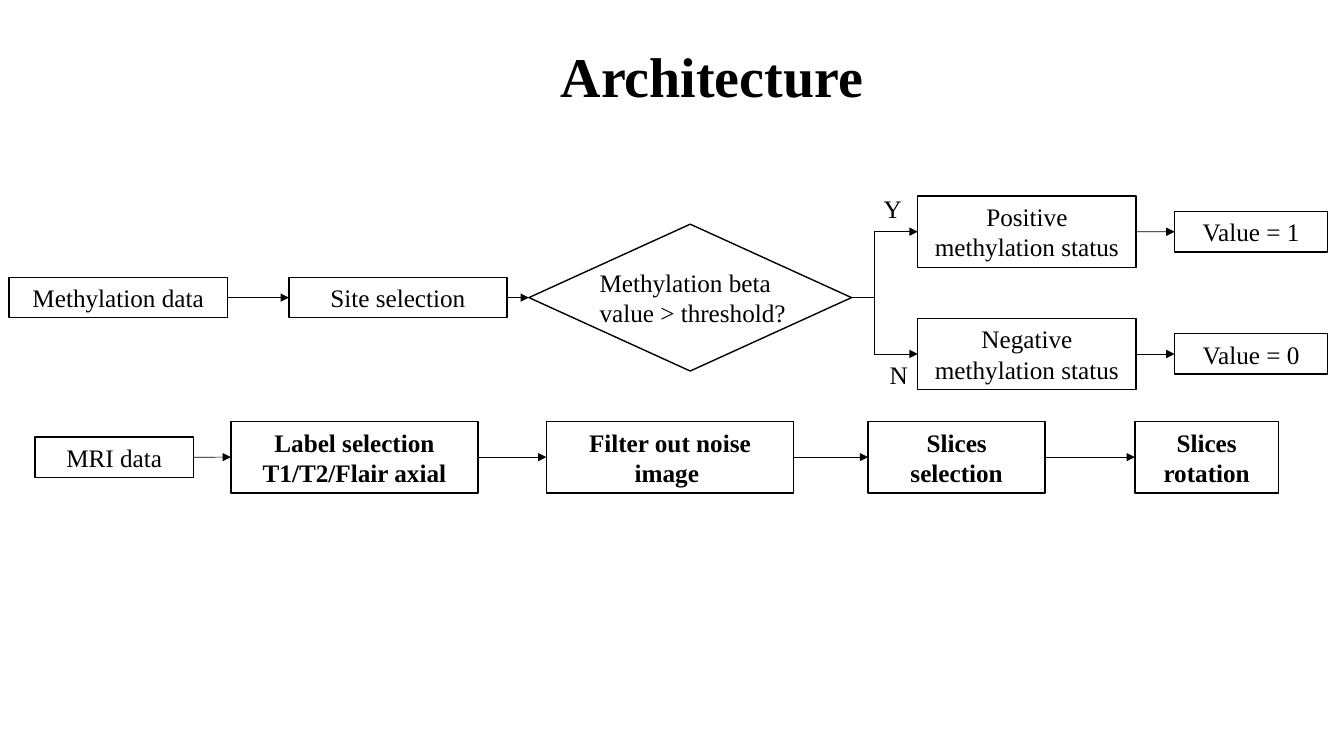
"""Build the Architecture slide: methylation labelling and MRI preparation flows."""
from dataclasses import dataclass

from lxml.etree import SubElement
from pptx import Presentation
from pptx.dml.color import RGBColor
from pptx.enum.shapes import MSO_CONNECTOR as Connector, MSO_SHAPE as Shape
from pptx.enum.text import MSO_ANCHOR as Anchor, PP_ALIGN as Align
from pptx.oxml.ns import qn
from pptx.util import Cm, Pt


@dataclass(frozen=True)
class Theme:
    font: str = "Times New Roman"
    ink: RGBColor = RGBColor(0, 0, 0)
    paper: RGBColor = RGBColor(255, 255, 255)
    title_size: Pt = Pt(40)
    body_size: Pt = Pt(18)
    border: Pt = Pt(1)
    arrow: Pt = Pt(0.5)


theme = Theme()
LEFT_SIDE, RIGHT_SIDE = 1, 3
ONE_LINE, TWO_LINES = 1.02, 1.8
MAIN, POSITIVE, NEGATIVE, MRI = 7.5, 5.84, 8.92, 11.52


def write(shape, text, align, size=theme.body_size, bold=False):
    """Fill a shape with text in the theme font."""
    frame = shape.text_frame
    frame.word_wrap = True
    frame.text = text
    for paragraph in frame.paragraphs:
        paragraph.alignment = align
        for run in paragraph.runs:
            run.font.name = theme.font
            run.font.size = size
            run.font.bold = bold
            run.font.color.rgb = theme.ink


def connect(source, target, kind=Connector.STRAIGHT):
    """Draw an arrow from the right side of source to the left side of target."""
    connector = slide.shapes.add_connector(kind, 0, 0, 0, 0)
    connector.begin_connect(source, RIGHT_SIDE)
    connector.end_connect(target, LEFT_SIDE)
    connector.line.color.rgb = theme.ink
    connector.line.width = theme.arrow
    SubElement(connector.line._get_or_add_ln(), qn("a:tailEnd"), type="triangle")
    SubElement(connector._element.spPr, qn("a:effectLst"))
    return connector


presentation = Presentation()
presentation.slide_width, presentation.slide_height = Cm(33.87), Cm(19.05)
slide = presentation.slides.add_slide(presentation.slide_layouts[6])

nodes = {}
for name, text, kind, left, middle, width, height, bold in [
    ("data", "Methylation data", Shape.RECTANGLE, 0.23, MAIN, 5.5, ONE_LINE, False),
    ("site", "Site selection", Shape.RECTANGLE, 7.28, MAIN, 5.5, ONE_LINE, False),
    ("decision", "", Shape.DIAMOND, 13.33, MAIN, 8.13, 3.7, False),
    ("positive", "Positive methylation status", Shape.RECTANGLE, 23.13, POSITIVE, 5.5, TWO_LINES, False),
    ("negative", "Negative methylation status", Shape.RECTANGLE, 23.13, NEGATIVE, 5.5, TWO_LINES, False),
    ("one", "Value = 1", Shape.RECTANGLE, 29.6, POSITIVE, 3.86, ONE_LINE, False),
    ("zero", "Value = 0", Shape.RECTANGLE, 29.6, NEGATIVE, 3.86, ONE_LINE, False),
    ("mri", "MRI data", Shape.RECTANGLE, 0.88, MRI, 4, ONE_LINE, False),
    ("label", "Label selection\nT1/T2/Flair axial", Shape.RECTANGLE, 5.82, MRI, 6.23, TWO_LINES, True),
    ("filter", "Filter out noise image ", Shape.RECTANGLE, 13.77, MRI, 6.23, TWO_LINES, True),
    ("slices", "Slices selection", Shape.RECTANGLE, 21.88, MRI, 4.46, TWO_LINES, True),
    ("rotation", "Slices rotation", Shape.RECTANGLE, 28.6, MRI, 3.62, TWO_LINES, True),
]:
    shape = slide.shapes.add_shape(kind, Cm(left), Cm(middle - height / 2), Cm(width), Cm(height))
    shape.shadow.inherit = False
    shape.fill.solid()
    shape.fill.fore_color.rgb = theme.paper
    shape.line.color.rgb = theme.ink
    shape.line.width = theme.border
    shape.text_frame.vertical_anchor = Anchor.MIDDLE
    if text:
        write(shape, text, Align.CENTER, bold=bold)
    nodes[name] = shape

for source, target in [
    ("data", "site"), ("site", "decision"), ("positive", "one"), ("negative", "zero"),
    ("mri", "label"), ("label", "filter"), ("filter", "slices"), ("slices", "rotation"),
]:
    connect(nodes[source], nodes[target])

for outcome in ("positive", "negative"):
    branch = connect(nodes["decision"], nodes[outcome], Connector.ELBOW)
    bend = branch._element.spPr.prstGeom.get_or_add_avLst()
    SubElement(bend, qn("a:gd"), name="adj1", fmla="val 34000")

for text, left, top, width, height in [
    ("Methylation beta value > threshold?", 14.86, 6.6, 5.64, 1.8),
    ("Y", 22.02, 4.75, 0.6, 1.02),
    ("N", 22.17, 8.92, 0.6, 1.02),
]:
    label = slide.shapes.add_textbox(Cm(left), Cm(top), Cm(width), Cm(height))
    write(label, text, Align.LEFT)

title = slide.shapes.add_textbox(Cm(13.54), Cm(0.91), Cm(8.8), Cm(1.96))
write(title, "Architecture", Align.CENTER, theme.title_size, True)

presentation.save("out.pptx")
